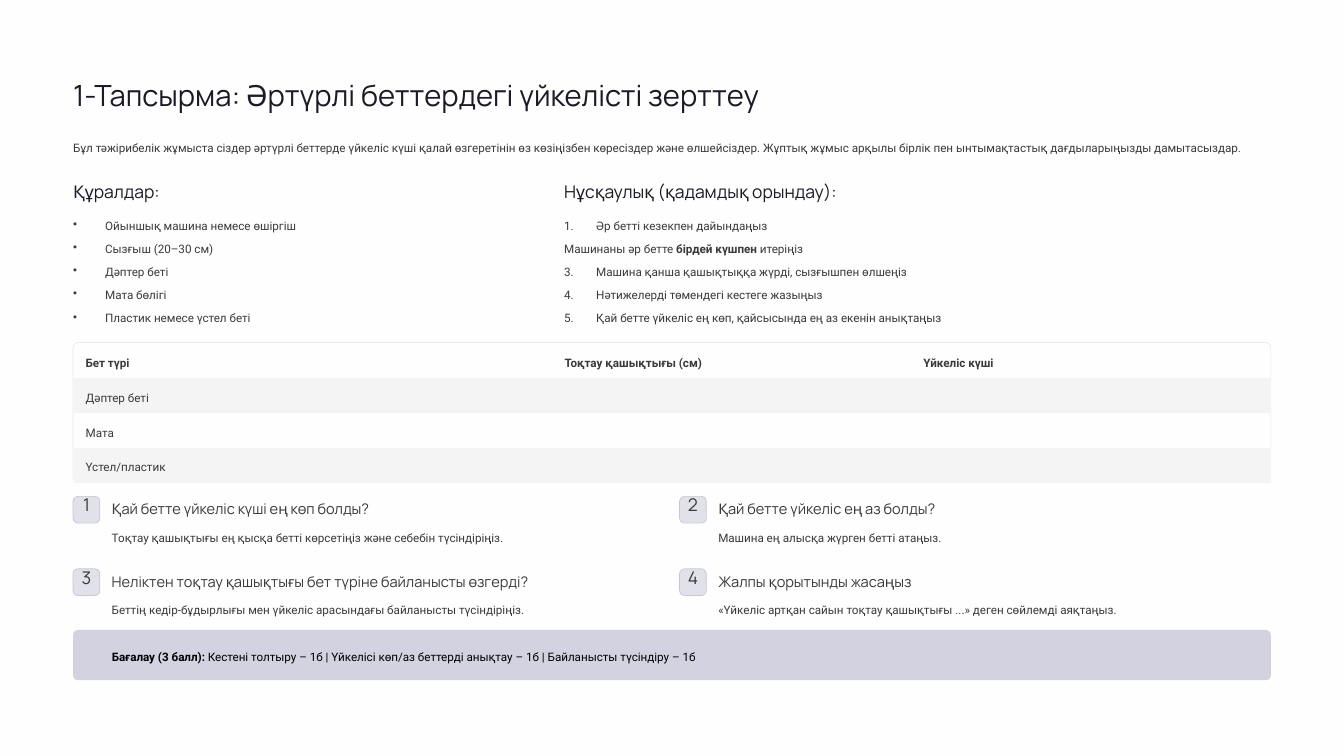
from lxml import etree
from pptx import Presentation
from pptx.dml.color import RGBColor
from pptx.enum.shapes import MSO_SHAPE as Shape
from pptx.enum.text import MSO_ANCHOR as Anchor, PP_ALIGN as Align
from pptx.oxml.ns import qn
from pptx.util import Cm, Pt

# Content: a line is a string or a list of (text, bold) pieces
TITLE = "1-Тапсырма: Әртүрлі беттердегі үйкелісті зерттеу"
INTRO = ("Бұл тәжірибелік жұмыста сіздер әртүрлі беттерде үйкеліс күші қалай өзгеретінін "
         "өз көзіңізбен көресіздер және өлшейсіздер. Жұптық жұмыс арқылы бірлік пен "
         "ынтымақтастық дағдыларыңызды дамытасыздар.")
TOOLS_HEAD = "Құралдар:"
TOOLS = [
    "Ойыншық машина немесе өшіргіш",
    "Сызғыш (20–30 см)",
    "Дәптер беті",
    "Мата бөлігі",
    "Пластик немесе үстел беті",
]
STEPS_HEAD = "Нұсқаулық (қадамдық орындау):"
STEPS = [
    "Әр бетті кезекпен дайындаңыз",
    [("Машинаны әр бетте ", False), ("бірдей күшпен", True), (" итеріңіз", False)],
    "Машина қанша қашықтыққа жүрді, сызғышпен өлшеңіз",
    "Нәтижелерді төмендегі кестеге жазыңыз",
    "Қай бетте үйкеліс ең көп, қайсысында ең аз екенін анықтаңыз",
]
STEP_STARTS = [1, None, 3, 3, 3]  # the second step shows no number
RESULTS = [
    ("Бет түрі", "Тоқтау қашықтығы (см)", "Үйкеліс күші"),
    ("Дәптер беті", "", ""),
    ("Мата", "", ""),
    ("Үстел/пластик", "", ""),
]
QUESTIONS = [
    ("Қай бетте үйкеліс күші ең көп болды?",
     "Тоқтау қашықтығы ең қысқа бетті көрсетіңіз және себебін түсіндіріңіз."),
    ("Қай бетте үйкеліс ең аз болды?",
     "Машина ең алысқа жүрген бетті атаңыз."),
    ("Неліктен тоқтау қашықтығы бет түріне байланысты өзгерді?",
     "Беттің кедір-бұдырлығы мен үйкеліс арасындағы байланысты түсіндіріңіз."),
    ("Жалпы қорытынды жасаңыз",
     "«Үйкеліс артқан сайын тоқтау қашықтығы ...» деген сөйлемді аяқтаңыз."),
]
GRADING = [("Бағалау (3 балл):", True),
           (" Кестені толтыру – 1б | Үйкелісі көп/аз беттерді анықтау – 1б | "
            "Байланысты түсіндіру – 1б", False)]

# Styles: font, size, line spacing, colour
TITLE_STYLE = ("Manrope", 25, 31.5, "1B1B27")
HEAD_STYLE = ("Manrope", 15, 19, "1B1B27")
BADGE_STYLE = ("Manrope", 15, 15, "3C3939")
QUESTION_STYLE = ("Manrope", 12.5, 15.5, "3C3939")
BODY_STYLE = ("Roboto", 10, 16, "3C3939")
GRADING_STYLE = ("Roboto", 10, 16, "000000")

# Layout in centimetres
LEFT, WIDTH, STEPS_LEFT = 2.21, 36.22, 17.06
INDENT, TEXT_OFFSET = 0.97, 1.17
TABLE_TOP, ROW_HEIGHT, COLUMNS = 10.39, 1.05, (14.48, 10.85, 10.86)
QUESTIONS_TOP, QUESTION_DX, QUESTION_DY, BADGE = 15.01, 18.34, 2.19, 0.81
NO_GRID_STYLE = "{2D5ABB26-0587-4C30-8999-92F81FD0307C}"

prs = Presentation()
prs.slide_width, prs.slide_height = Cm(40.64), Cm(22.86)
slide = prs.slides.add_slide(prs.slide_layouts[6])


def paint(color_format, hex_color):
    color_format.rgb = RGBColor.from_string(hex_color)


def fill(target, hex_color):
    target.solid()
    paint(target.fore_color, hex_color)


def write(paragraph, line, style, bold=False):
    font, size, spacing, color = style
    paragraph.line_spacing = Pt(spacing)
    for text, strong in [(line, bold)] if isinstance(line, str) else line:
        run = paragraph.add_run()
        run.text = text
        run.font.name, run.font.size, run.font.bold = font, Pt(size), strong
        paint(run.font.color, color)


def set_margins(target, left=0, top=0):
    target.margin_left, target.margin_top = Cm(left), Cm(top)
    target.margin_right = target.margin_bottom = 0


def add_text(x, y, width, lines, style):
    frame = slide.shapes.add_textbox(Cm(x), Cm(y), Cm(width), Cm(style[2] / 28)).text_frame
    frame.word_wrap = True
    set_margins(frame)
    for i, line in enumerate(lines):
        paragraph = frame.add_paragraph() if i else frame.paragraphs[0]
        write(paragraph, line, style)
        if i:
            paragraph.space_before = Pt(3.8)
    return frame.paragraphs


def add_marker(paragraph, tag, **attributes):
    props = paragraph._p.get_or_add_pPr()
    props.set("marL", str(Cm(INDENT)))
    props.set("indent", str(-Cm(INDENT)))
    etree.SubElement(props, qn(tag), attributes)


def add_round(x, y, width, height, radius, color=None, line=None):
    box = slide.shapes.add_shape(Shape.ROUNDED_RECTANGLE, Cm(x), Cm(y), Cm(width), Cm(height))
    box.shadow.inherit = False
    box.adjustments[0] = radius
    if color:
        fill(box.fill, color)
    else:
        box.fill.background()
    if line:
        paint(box.line.color, line)
        box.line.width = Pt(0.6)
    else:
        box.line.fill.background()
    box.text_frame.vertical_anchor = Anchor.TOP
    return box.text_frame


# Background, title and introduction
fill(slide.background.fill, "FEFEFE")
add_text(LEFT, 2.29, WIDTH, [TITLE], TITLE_STYLE)
add_text(LEFT, 4.11, WIDTH, [INTRO], BODY_STYLE)

# Tools and steps
add_text(LEFT, 5.44, 14, [TOOLS_HEAD], HEAD_STYLE)
for tool in add_text(LEFT, 6.48, 14, TOOLS, BODY_STYLE):
    add_marker(tool, "a:buChar", char="•")
add_text(STEPS_LEFT, 5.44, 21.37, [STEPS_HEAD], HEAD_STYLE)
for step, start in zip(add_text(STEPS_LEFT, 6.48, 21.37, STEPS, BODY_STYLE), STEP_STARTS):
    if start:
        add_marker(step, "a:buAutoNum", type="arabicPeriod", startAt=str(start))

# Results table in a rounded frame
add_round(LEFT, 10.36, WIDTH, 4.22, 0.036, line="EAEAEA")
results = slide.shapes.add_table(len(RESULTS), len(COLUMNS), Cm(LEFT + 0.02), Cm(TABLE_TOP),
                                 Cm(sum(COLUMNS)), Cm(ROW_HEIGHT * len(RESULTS))).table
results.first_row = results.horz_banding = False
results._tbl.tblPr.find(qn("a:tableStyleId")).text = NO_GRID_STYLE
for column, width in zip(results.columns, COLUMNS):
    column.width = Cm(width)
for r, row in enumerate(RESULTS):
    results.rows[r].height = Cm(ROW_HEIGHT)
    for c, entry in enumerate(row):
        cell = results.cell(r, c)
        set_margins(cell, 0.36, 0.25)
        write(cell.text_frame.paragraphs[0], entry, BODY_STYLE, bold=r == 0)
        if r % 2:
            fill(cell.fill, "F4F4F4")
        else:
            cell.fill.background()

# Numbered questions, two by two
for i, (question, hint) in enumerate(QUESTIONS):
    x = LEFT + i % 2 * QUESTION_DX
    y = QUESTIONS_TOP + i // 2 * QUESTION_DY
    badge = add_round(x, y, BADGE, BADGE, 0.187, "E1E1EA", "C7C7D0")
    set_margins(badge)
    badge.paragraphs[0].alignment = Align.CENTER
    write(badge.paragraphs[0], str(i + 1), BADGE_STYLE)
    add_text(x + TEXT_OFFSET, y + 0.1, 16.74, [question], QUESTION_STYLE)
    add_text(x + TEXT_OFFSET, y + 0.89, 16.74, [hint], BODY_STYLE)

# Grading banner
grading = add_round(LEFT, 19.05, WIDTH, 1.52, 0.099, "D2D2E0")
set_margins(grading, 1.13, 0.42)
grading.paragraphs[0].alignment = Align.LEFT
write(grading.paragraphs[0], GRADING, GRADING_STYLE)

prs.save("out.pptx")
